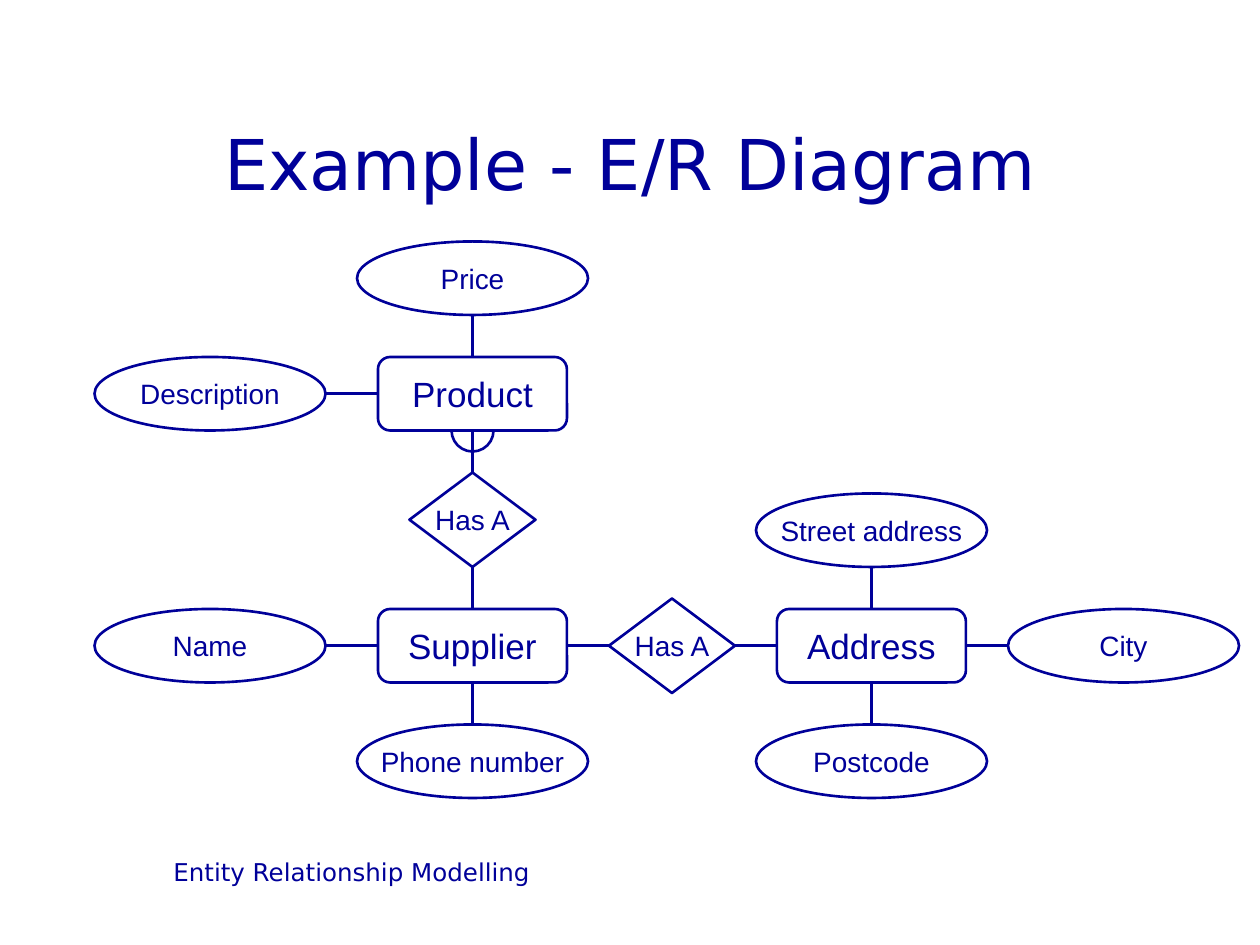
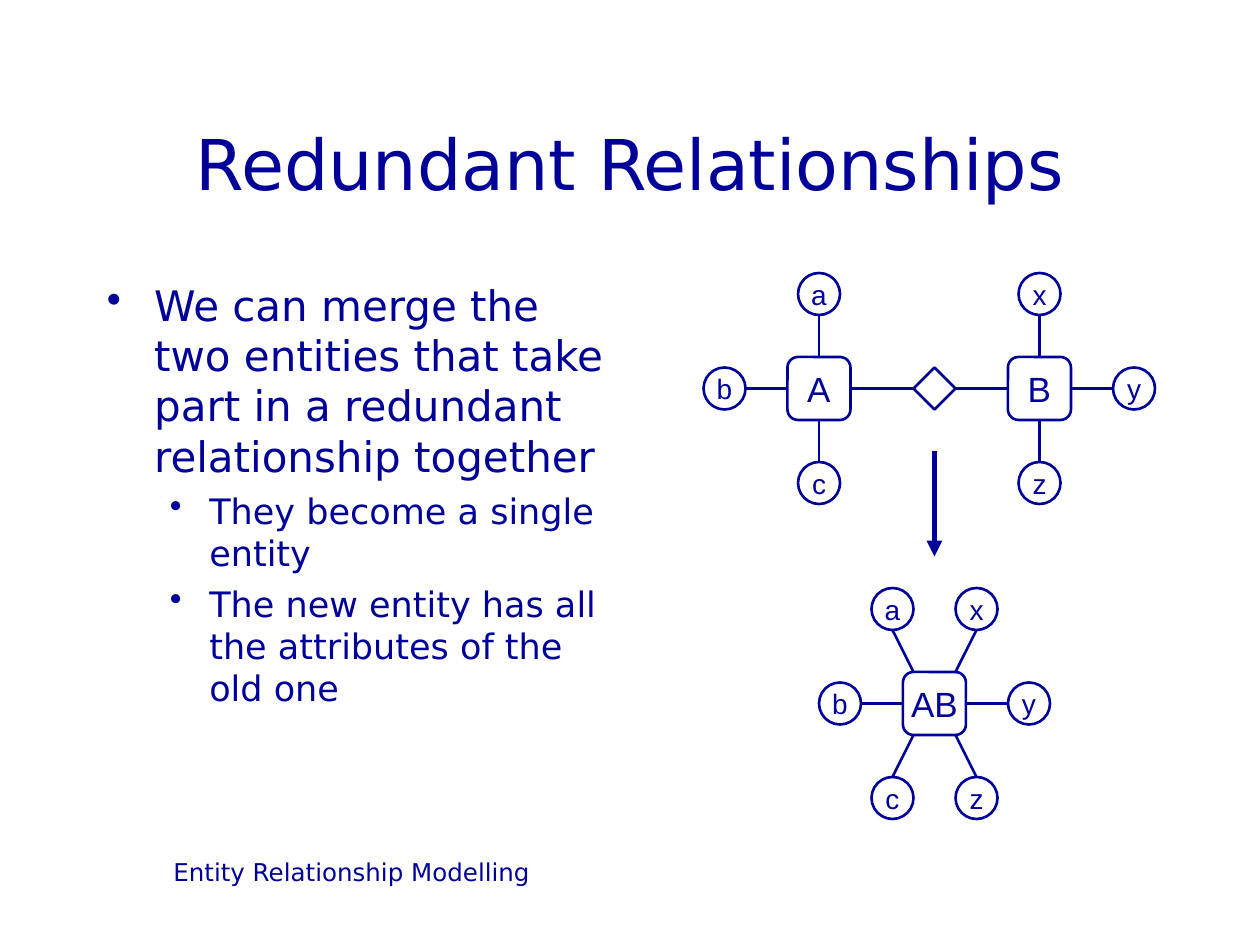
from lxml import etree
from pptx import Presentation
from pptx import util as u
from pptx.dml import color
from pptx.enum import shapes, text
from pptx.oxml import ns

NAVY = color.RGBColor.from_string("000099")
BOX, OVAL, DIAMOND = (shapes.MSO_SHAPE.ROUNDED_RECTANGLE, shapes.MSO_SHAPE.OVAL,
                      shapes.MSO_SHAPE.DIAMOND)
TOP, LEFT, BOTTOM, RIGHT = range(4)


def write_text(shape, content, size, font="Arial", anchor=text.MSO_ANCHOR.MIDDLE,
               align=text.PP_ALIGN.CENTER, wrap=False, before=0, more=False):
    """Write one paragraph; more=True adds it below the text already there."""
    frame = shape.text_frame
    frame.word_wrap = wrap
    frame.vertical_anchor = anchor
    paragraph = frame.add_paragraph() if more else frame.paragraphs[0]
    paragraph.alignment = align
    paragraph.space_before = u.Pt(before)
    run = paragraph.add_run()
    run.text = content
    run.font.size = u.Pt(size)
    run.font.name = font
    run.font.color.rgb = NAVY
    return paragraph


def draw_line(slide, start=(0, 0), end=(0, 0), width=1.5):
    line = slide.shapes.add_connector(shapes.MSO_CONNECTOR.STRAIGHT,
                                      *map(u.Pt, (*start, *end)))
    line.line.color.rgb = NAVY
    line.line.width = u.Pt(width)
    etree.SubElement(line._element.spPr, ns.qn("a:effectLst"))
    return line


presentation = Presentation()
presentation.slide_width, presentation.slide_height = u.Pt(720), u.Pt(540)

# Title and footer of each slide
slides = []
for title in ("Example - E/R Diagram", "Redundant Relationships"):
    slide = presentation.slides.add_slide(presentation.slide_layouts[6])
    slides.append(slide)
    footer = slide.shapes.add_textbox(u.Pt(54), u.Pt(486), u.Pt(294), u.Pt(36))
    write_text(footer, "Entity Relationship Modelling", 14, font="DejaVu Sans",
               anchor=text.MSO_ANCHOR.TOP, wrap=True)
    heading = slide.shapes.add_textbox(u.Pt(54), u.Pt(48), u.Pt(612), u.Pt(90))
    write_text(heading, title, 40, font="DejaVu Sans", wrap=True)
example, redundant = slides

# Bulleted text: content, size, space before, left margin, hanging indent
body = redundant.shapes.add_textbox(u.Pt(54), u.Pt(156), u.Pt(300), u.Pt(324))
bullets = [
    ("We can merge the two entities that take part in a redundant relationship together",
     24, 6, 27, 27),
    ("They become a single entity", 20, 5, 58.5, 22.5),
    ("The new entity has all the attributes of the old one", 20, 5, 58.5, 22.5),
]
for number, (content, size, before, margin, hanging) in enumerate(bullets):
    paragraph = write_text(body, content, size, font="DejaVu Sans",
                           anchor=text.MSO_ANCHOR.TOP, align=text.PP_ALIGN.LEFT,
                           wrap=True, before=before, more=number > 0)
    properties = paragraph._p.get_or_add_pPr()
    properties.set("marL", str(int(u.Pt(margin))))
    properties.set("indent", str(-int(u.Pt(hanging))))
    etree.SubElement(properties, ns.qn("a:buChar"), char="•")

# Sizes of entity boxes, attribute ovals and relationship diamonds
sizes = {
    example.slide_id: {BOX: (108, 42), OVAL: (132, 42), DIAMOND: (72, 54)},
    redundant.slide_id: {BOX: (36, 36), OVAL: (24, 24), DIAMOND: (24, 24)},
}

# Entities: slide, name, centre, attributes with their offset from the centre
entities = [
    (example, "Product", 270, 225, {"Price": (0, -66), "Description": (-150, 0)}),
    (example, "Supplier", 270, 369, {"Name": (-150, 0), "Phone number": (0, 66)}),
    (example, "Address", 498, 369,
     {"Street address": (0, -66), "City": (144, 0), "Postcode": (0, 66)}),
    (redundant, "A", 468, 222, {"a": (0, -54), "b": (-54, 0), "c": (0, 54)}),
    (redundant, "B", 594, 222, {"x": (0, -54), "y": (54, 0), "z": (0, 54)}),
    (redundant, "AB", 534, 402,
     {"a": (-24, -54), "b": (-54, 0), "c": (-24, 54),
      "x": (24, -54), "y": (54, 0), "z": (24, 54)}),
]

# Relationships: slide, label, centre, entities joined, sides facing each other
relationships = [
    (example, "Has A", 270, 297, "Product", "Supplier", BOTTOM, TOP),
    (example, "Has A", 384, 369, "Supplier", "Address", RIGHT, LEFT),
    (redundant, "", 534, 222, "A", "B", RIGHT, LEFT),
]

# Draw all nodes
nodes = [(slide, BOX, name, x, y, 20) for slide, name, x, y, _ in entities]
nodes += [(slide, OVAL, name, x + dx, y + dy, 16)
          for slide, _, x, y, attributes in entities
          for name, (dx, dy) in attributes.items()]
nodes += [(slide, DIAMOND, label, x, y, 16) for slide, label, x, y, *_ in relationships]
drawn = {}
for slide, kind, name, x, y, size in nodes:
    width, height = sizes[slide.slide_id][kind]
    shape = slide.shapes.add_shape(kind, u.Pt(x - width / 2), u.Pt(y - height / 2),
                                   u.Pt(width), u.Pt(height))
    shape.shadow.inherit = False
    shape.fill.background()
    shape.line.color.rgb = NAVY
    shape.line.width = u.Pt(1.5)
    if name:
        write_text(shape, name, size)
    drawn[kind, x, y] = shape
    if kind == BOX:
        drawn[name] = shape

# Lines from entities to their attributes
for slide, name, x, y, attributes in entities:
    box_width, box_height = sizes[slide.slide_id][BOX]
    oval_width, oval_height = sizes[slide.slide_id][OVAL]
    for dx, dy in attributes.values():
        if dy:
            way = 1 if dy > 0 else -1
            side = BOTTOM if dy > 0 else TOP
            start = x + dx / 2, y + way * box_height / 2
            end = x + dx, y + dy - way * oval_height / 2
        else:
            way = 1 if dx > 0 else -1
            side = RIGHT if dx > 0 else LEFT
            start = x + way * box_width / 2, y
            end = x + dx - way * oval_width / 2, y
        line = draw_line(slide, start, end)
        if not (dx and dy):
            line.begin_connect(drawn[name], side)

# Lines from relationships to the entities they join
for slide, _, x, y, first, second, leaving, arriving in relationships:
    diamond = drawn[DIAMOND, x, y]
    for origin, target in ((drawn[first], diamond), (diamond, drawn[second])):
        line = draw_line(slide)
        line.begin_connect(origin, leaving)
        line.end_connect(target, arriving)

# Half circle below Product
half_circle = example.shapes.add_shape(shapes.MSO_SHAPE.ARC, u.Pt(258), u.Pt(234),
                                       u.Pt(24), u.Pt(24))
half_circle.adjustments[0] = 0
half_circle.adjustments[1] = 108  # 180 degrees
half_circle.shadow.inherit = False
half_circle.fill.background()
half_circle.line.color.rgb = NAVY
half_circle.line.width = u.Pt(1.5)

# Arrow from the two entities to the merged one
arrow = draw_line(redundant, (534, 258), (534, 318), width=3)
etree.SubElement(arrow.line._get_or_add_ln(), ns.qn("a:tailEnd"), type="triangle")

presentation.save("out.pptx")
